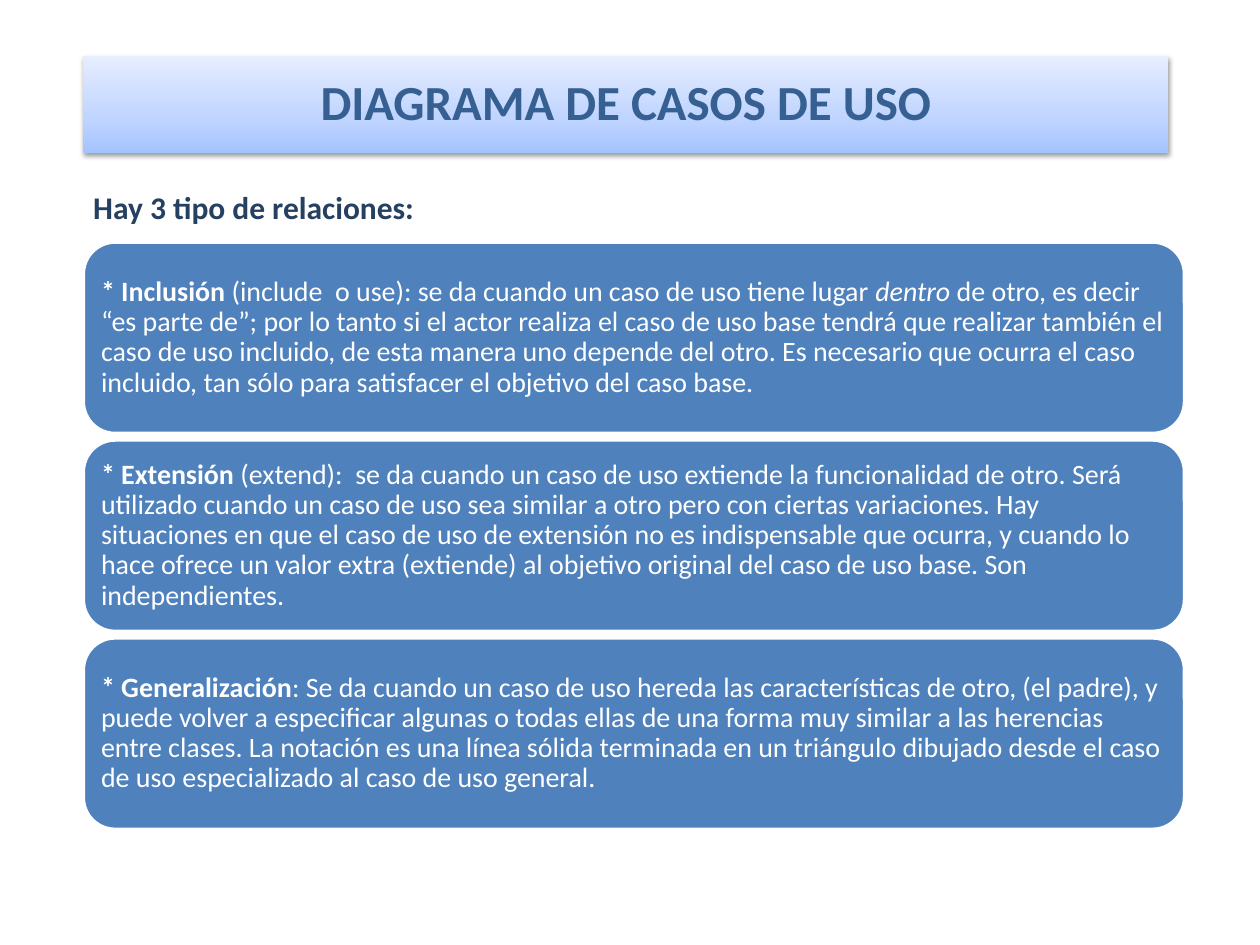
from dataclasses import dataclass
from typing import Optional

from lxml.etree import SubElement as Sub
from pptx import Presentation
from pptx.dml.color import RGBColor as Rgb
from pptx.enum.shapes import MSO_SHAPE as Geom
from pptx.enum.text import MSO_ANCHOR as Anchor, PP_ALIGN as Align
from pptx.oxml import parse_xml
from pptx.oxml.ns import nsdecls, qn
from pptx.util import Cm, Pt

HUES = {"title": "376092", "lead": "254061", "card": "4F81BD", "white": "FFFFFF",
        "deep": "A4C4FF", "mid": "BFD4FF", "pale": "E6EEFF", "shade": "000000"}
FONT = "Calibri"
LEFT, TOP, WIDE, HIGH, STEP = 1.68, 4.88, 22.2, 3.86, 3.99


@dataclass
class Run:
    """A piece of text with its own weight and slant."""
    text: str
    bold: bool = False
    slant: bool = False


CARDS = [
    [Run("* Inclusión", bold=True),
     Run(" (include  o use): se da cuando un caso de uso tiene lugar\u00a0"),
     Run("dentro", slant=True),
     Run("\u00a0de otro, es decir “es parte de”; por lo tanto si el actor realiza el caso "
         "de uso base tendrá que realizar también el caso de uso incluido, de esta manera "
         "uno depende del otro. Es necesario que ocurra el caso incluido, tan sólo para "
         "satisfacer el objetivo del caso base.")],
    [Run("* Extensión", bold=True),
     Run(" (extend):  se da cuando un caso de uso extiende la funcionalidad de otro. Será "
         "utilizado cuando un caso de uso sea similar a otro pero con ciertas variaciones. "
         "Hay situaciones en que el caso de uso de extensión no es indispensable que "
         "ocurra, y cuando lo hace ofrece un valor extra (extiende) al objetivo original "
         "del caso de uso base. Son independientes.")],
    [Run("* Generalización", bold=True),
     Run(": Se da cuando un caso de uso hereda las características de otro, (el padre), y "
         "puede volver a especificar algunas o todas ellas de una forma muy similar a las "
         "herencias entre clases. La notación es una línea sólida terminada en un "
         "triángulo dibujado desde el caso de uso especializado al caso de uso general.")],
]


def write(shape, runs: list[Run], *, size: float, hue: str, align=Align.LEFT,
          anchor=Anchor.MIDDLE, inset: Optional[float] = None,
          space: Optional[float] = None) -> None:
    """Fill a shape with one paragraph of formatted runs."""
    frame = shape.text_frame
    frame.word_wrap = True
    frame.vertical_anchor = anchor
    if inset is not None:
        frame.margin_left = frame.margin_right = Cm(inset)
        frame.margin_top = frame.margin_bottom = Cm(inset)
    para = frame.paragraphs[0]
    para.alignment = align
    para.line_spacing = space
    for part in runs:
        run = para.add_run()
        run.text = part.text
        font = run.font
        font.name, font.size = FONT, Pt(size)
        font.bold, font.italic = part.bold, part.slant
        font.color.rgb = Rgb.from_string(HUES[hue])


def add_title(slide) -> None:
    """Draw the title bar with its gradient and soft shadow."""
    bar = slide.shapes.add_shape(Geom.RECTANGLE, Cm(LEFT), Cm(1.12), Cm(21.87), Cm(1.96))
    bar.line.fill.background()
    bar.shadow.inherit = False
    props = bar._element.spPr
    stops = "".join(f'<a:gs pos="{pos * 1000}"><a:srgbClr val="{HUES[hue]}"/></a:gs>'
                    for pos, hue in ((0, "deep"), (35, "mid"), (100, "pale")))
    grad = parse_xml(f'<a:gradFill {nsdecls("a")} rotWithShape="1"><a:gsLst>{stops}'
                     '</a:gsLst><a:lin ang="16200000" scaled="0"/></a:gradFill>')
    props.find(qn("a:prstGeom")).addnext(grad)
    glow = Sub(props.find(qn("a:effectLst")), qn("a:outerShdw"), blurRad=str(Pt(3.1)),
               dist=str(Pt(1.6)), dir="5400000", rotWithShape="0")
    tint = Sub(glow, qn("a:srgbClr"), val=HUES["shade"])
    Sub(tint, qn("a:alpha"), val="38000")
    write(bar, [Run("DIAGRAMA DE CASOS DE USO", bold=True)], size=28, hue="title",
          align=Align.CENTER, inset=0.33, space=0.9)


def add_card(slide, row: int, runs: list[Run]) -> None:
    """Draw one rounded card in the stack."""
    card = slide.shapes.add_shape(Geom.ROUNDED_RECTANGLE, Cm(LEFT), Cm(TOP + row * STEP),
                                  Cm(WIDE), Cm(HIGH))
    card.shadow.inherit = False
    card.fill.solid()
    card.fill.fore_color.rgb = Rgb.from_string(HUES["card"])
    card.line.color.rgb = Rgb.from_string(HUES["white"])
    card.line.width = Pt(2)
    write(card, runs, size=16, hue="white", inset=0.17, space=0.9)


def main() -> None:
    """Build the slide and save it."""
    deck = Presentation()
    deck.slide_width, deck.slide_height = Cm(25.4), Cm(19.05)
    slide = deck.slides.add_slide(deck.slide_layouts[6])
    add_title(slide)
    for row, runs in enumerate(CARDS):
        add_card(slide, row, runs)
    lead = slide.shapes.add_textbox(Cm(1.63), Cm(3.66), Cm(18.8), Cm(1.02))
    write(lead, [Run("Hay 3 tipo de relaciones:", bold=True)], size=18, hue="lead",
          anchor=Anchor.TOP)
    deck.save("out.pptx")


main()
